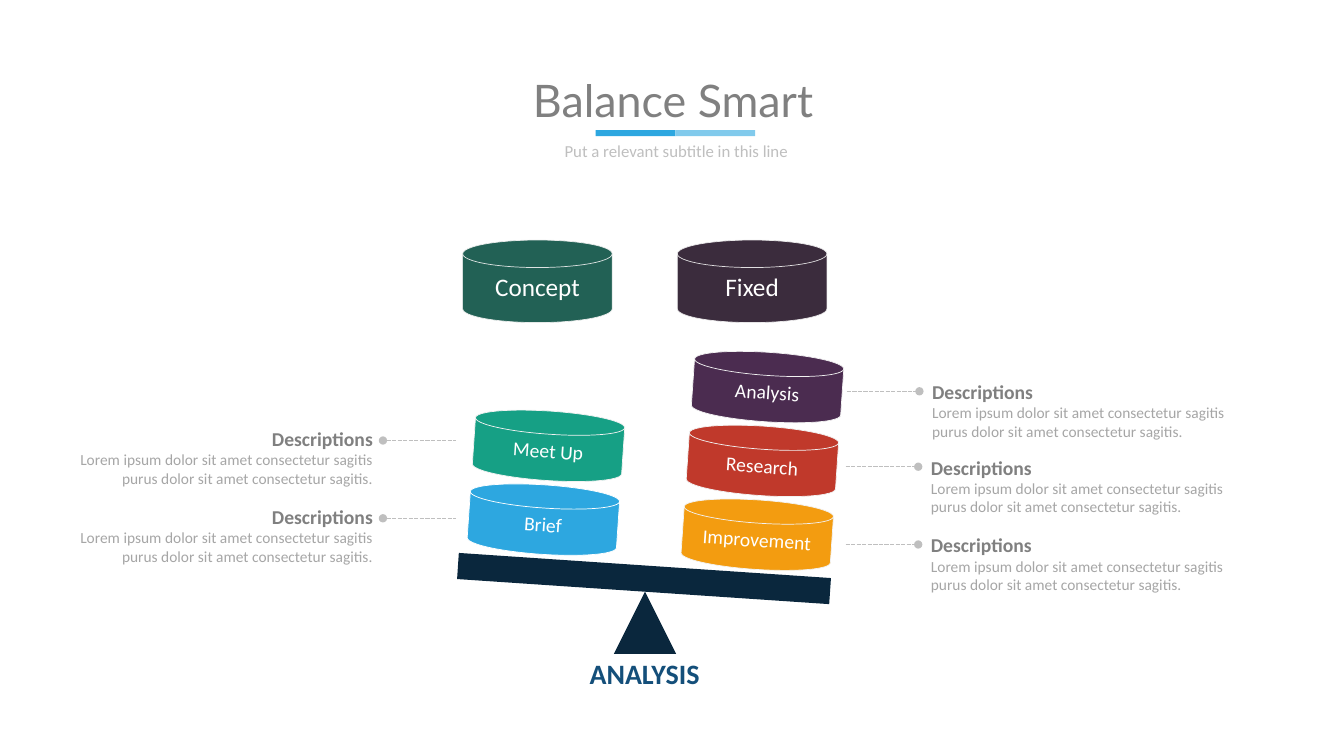
from pptx import Presentation
from pptx.dml.color import RGBColor
from pptx.enum.dml import MSO_LINE
from pptx.enum.shapes import MSO_CONNECTOR, MSO_SHAPE
from pptx.enum.text import MSO_ANCHOR, PP_ALIGN
from pptx.oxml import parse_xml
from pptx.oxml.ns import nsdecls, qn
from pptx.util import Cm, Pt
from lxml.etree import SubElement

TITLE = "Balance Smart"
SUBTITLE = "Put a relevant subtitle in this line"
VERDICT = "ANALYSIS"
HEADING = "Descriptions"
BODY = ("Lorem ipsum dolor sit amet consectetur sagitis "
        "purus dolor sit amet consectetur sagitis.")
UNDERLINE = ["2DA7E0", "81CAEC"]
HEADERS = [("Concept", "0B5043", 11.66), ("Fixed", "261628", 17.07)]
STACKS = [
    (17.2, 12.6, [("Improvement", "F39C10", "F2F2F2"),
                  ("Research", "C0392B", "F2F2F2"),
                  ("Analysis", "4B2C50", "F2F2F2")]),
    (11.81, 12.22, [("Brief", "2DA7E0", "FFFFFF"),
                    ("Meet Up", "16A085", "F2F2F2")]),
]
NOTES_LEFT = [(9.65, 11.1), (9.65, 13.06)]
NOTES_RIGHT = [(21.34, 9.86), (21.31, 11.76), (21.31, 13.72)]
NAVY, GREY = "0A273D", "BFBFBF"
TILT = 3.86
CAN_WIDTH = 3.77
HEADER_HEIGHT, WEIGHT_HEIGHT = 2.08, 1.75
STEP_X, STEP_Y = 0.13, -1.86
LEADER = 1.83
NOTE_WIDTH, NOTE_HEIGHT = 8.28, 2.62

deck = Presentation()
deck.slide_width, deck.slide_height = Cm(33.87), Cm(19.05)
slide = deck.slides.add_slide(deck.slide_layouts[6])
shapes = slide.shapes


def rgb(value):
    return RGBColor.from_string(value)


def block(kind, left, top, width, height, color, rotation=0):
    item = shapes.add_shape(kind, Cm(left), Cm(top), Cm(width), Cm(height))
    item.shadow.inherit = False
    item.fill.solid()
    item.fill.fore_color.rgb = rgb(color)
    item.line.fill.background()
    item.rotation = rotation


def style(paragraph, text, size, color, align, bold=False, font="Calibri"):
    paragraph.text = text
    paragraph.alignment = align
    paragraph.font.name = font
    paragraph.font.size = Pt(size)
    paragraph.font.bold = bold
    paragraph.font.color.rgb = rgb(color)


def text_box(left, top, width, height, anchor=MSO_ANCHOR.MIDDLE):
    frame = shapes.add_textbox(Cm(left), Cm(top), Cm(width), Cm(height)).text_frame
    frame.word_wrap = True
    frame.vertical_anchor = anchor
    return frame


def can_paths(width, height):
    w, h = Cm(width), Cm(height)
    rx, ry = w // 2, h // 6
    half = f'<a:arcTo wR="{rx}" hR="{ry}" stAng="%d" swAng="10800000"/>'
    back, front = half % 10800000, half % 0

    def move(tag, x, y):
        return f'<a:{tag}><a:pt x="{x}" y="{y}"/></a:{tag}>'

    body = move("moveTo", 0, ry) + back + move("lnTo", w, h - ry) + front + "<a:close/>"
    lid = move("moveTo", w, ry) + front
    parts = [('stroke="0"', body), ('fill="none"', lid), ('fill="none"', body)]
    paths = "".join(f'<a:path w="{w}" h="{h}" {mode}>{d}</a:path>' for mode, d in parts)
    return parse_xml(f'<a:pathLst {nsdecls("a")}>{paths}</a:pathLst>')


def can(label, left, top, height, color, edge, size, margins, rotation=0, alpha=None):
    corners = [(CAN_WIDTH, 0), (CAN_WIDTH, height), (0, height)]
    builder = shapes.build_freeform(Cm(0), Cm(0))
    builder.add_line_segments([(Cm(x), Cm(y)) for x, y in corners])
    item = builder.convert_to_shape(Cm(left), Cm(top))
    outline = item.element.spPr.find(qn("a:custGeom"))
    outline.replace(outline.find(qn("a:pathLst")), can_paths(CAN_WIDTH, height))
    item.rotation = rotation
    item.shadow.inherit = False
    item.fill.solid()
    item.fill.fore_color.rgb = rgb(color)
    item.line.color.rgb = rgb(edge)
    item.line.width = Pt(0.5)
    if alpha:
        for tint in item.element.spPr.iter(qn("a:srgbClr")):
            SubElement(tint, qn("a:alpha"), val=str(alpha * 1000))
    frame = item.text_frame
    frame.word_wrap = True
    frame.vertical_anchor = MSO_ANCHOR.MIDDLE
    side, above, below = margins
    frame.margin_left = frame.margin_right = Cm(side)
    frame.margin_top, frame.margin_bottom = Cm(above), Cm(below)
    style(frame.paragraphs[0], label, size, "FFFFFF", PP_ALIGN.CENTER)
    frame.paragraphs[0].line_spacing = 0.9


def leader(left, y, dot_end):
    line = shapes.add_connector(MSO_CONNECTOR.STRAIGHT, Cm(left), Cm(y),
                                Cm(left + LEADER), Cm(y))
    line.line.color.rgb = rgb(GREY)
    line.line.width = Pt(1)
    line.line.dash_style = MSO_LINE.SQUARE_DOT
    spPr = line.element.spPr
    SubElement(spPr.find(qn("a:ln")), qn(dot_end), type="oval")
    SubElement(spPr, qn("a:effectLst"))


def note(left, top, align):
    frame = text_box(left, top, NOTE_WIDTH, NOTE_HEIGHT)
    style(frame.paragraphs[0], HEADING, 14, "808080", align, bold=True)
    style(frame.add_paragraph(), BODY, 11, "A6A6A6", align)


title = text_box(10.92, 1.02, 12.09, 2.31, MSO_ANCHOR.TOP).paragraphs[0]
style(title, TITLE, 32, "808080", PP_ALIGN.CENTER, font="Lato")
title.line_spacing = 1.5
subtitle = text_box(13.03, 3.3, 8.03, 1.02).paragraphs[0]
style(subtitle, SUBTITLE, 12, GREY, PP_ALIGN.CENTER)
for i, color in enumerate(UNDERLINE):
    block(MSO_SHAPE.RECTANGLE, 15.01 + 2.01 * i, 3.28, 2.01, 0.15, color)

for label, color, left in HEADERS:
    can(label, left, 6.05, HEADER_HEIGHT, color, "F2F2F2", 18,
        (0.18, 0.89, 0.53), alpha=90)

block(MSO_SHAPE.ISOSCELES_TRIANGLE, 15.47, 14.91, 1.57, 1.57, NAVY)
block(MSO_SHAPE.RECTANGLE, 11.53, 14.25, 9.4, 0.66, NAVY, TILT)
for left, top, weights in STACKS:
    for i, (label, color, edge) in enumerate(weights):
        can(label, left + STEP_X * i, top + STEP_Y * i, WEIGHT_HEIGHT, color, edge,
            14, (0.15, 0.74, 0.43), rotation=TILT)

for left, y in NOTES_RIGHT:
    leader(left, y, "a:tailEnd")
    note(left + LEADER + 0.07, y - 0.83, PP_ALIGN.LEFT)
for left, y in NOTES_LEFT:
    leader(left, y, "a:headEnd")
    note(left - NOTE_WIDTH, y - 0.89, PP_ALIGN.RIGHT)

verdict = text_box(13.21, 16.41, 6.07, 0.81, MSO_ANCHOR.TOP).paragraphs[0]
style(verdict, VERDICT, 20, "144F7A", PP_ALIGN.CENTER, bold=True)

deck.save("out.pptx")
